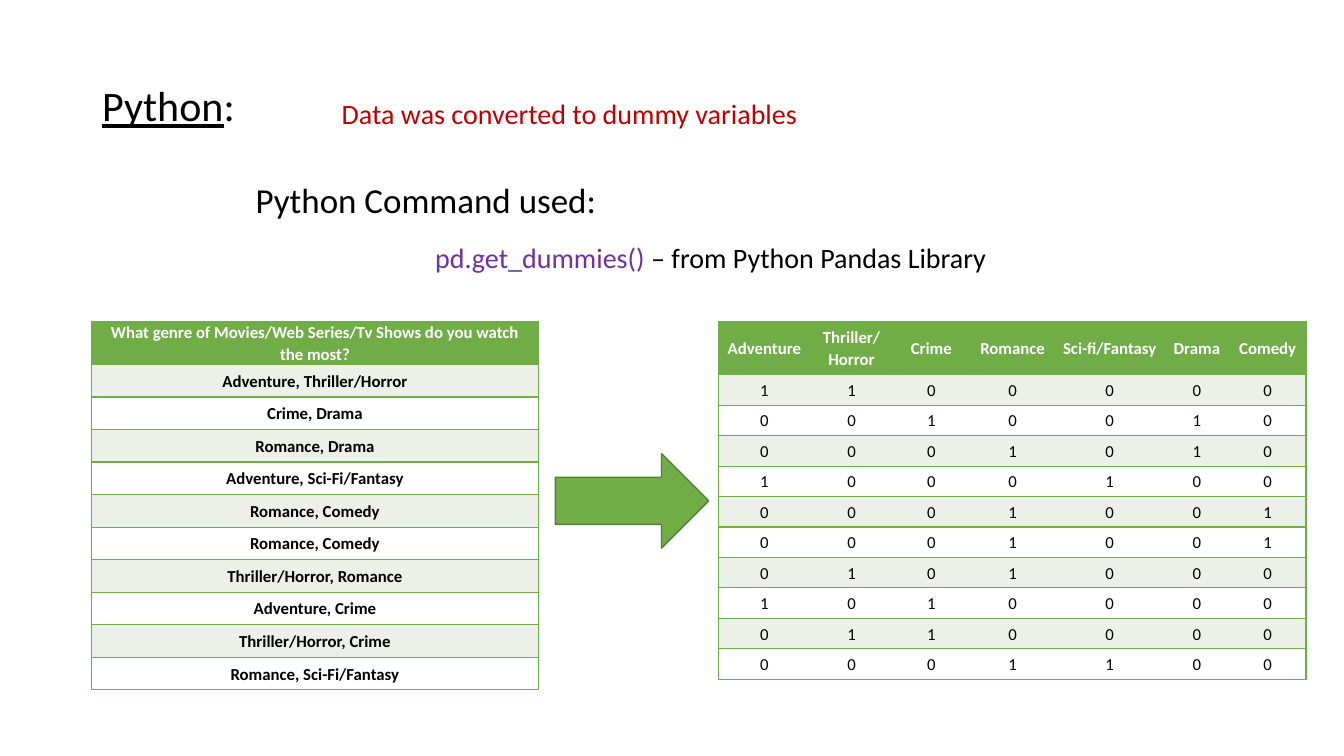
"""Build the slide that shows genre answers turned into dummy variables."""
from dataclasses import dataclass

from lxml import etree
from pptx import Presentation, util as u
from pptx.dml.color import RGBColor
from pptx.enum import shapes, text
from pptx.oxml.ns import qn

PX = 9525


@dataclass(frozen=True)
class Theme:
    """Hold the font, colours and type sizes of the slide."""
    font: str = "Calibri"
    ink: str = "000000"
    paper: str = "FFFFFF"
    green: str = "70AD47"
    outline: str = "538035"
    band: str = "EBF1E9"
    red: str = "C00000"
    purple: str = "7030A0"
    title: int = 30
    heading: int = 25
    body: int = 20
    cell: int = 12


def px(*lengths):
    """Turn whole pixels into EMU."""
    return [u.Emu(length * PX) for length in lengths]


def assign(target, values):
    """Set each attribute named in a dict."""
    for name, value in values.items():
        setattr(target, name, value)


class Deck:
    """Draw elements on the current slide in one style."""

    def __init__(self, theme):
        """Start a one-slide presentation."""
        self.theme = theme
        self.file = Presentation()
        self.file.slide_width, self.file.slide_height = px(1280, 720)
        self.slide = self.file.slides.add_slide(self.file.slide_layouts[5])

    def add_runs(self, paragraph, runs, size, **formats):
        """Fill a paragraph with (text, colour, formats) runs."""
        assign(paragraph, formats)
        for words, colour, extra in runs:
            run = paragraph.add_run()
            run.text = words
            assign(run.font, {"name": self.theme.font, "size": u.Pt(size), **extra})
            run.font.color.rgb = RGBColor.from_string(colour)

    def title(self, box, runs):
        """Place and format the title placeholder."""
        holder = self.slide.shapes.title
        assign(holder, dict(zip(("left", "top", "width", "height"), px(*box))))
        assign(holder.text_frame, {"word_wrap": False,
                                   "auto_size": text.MSO_AUTO_SIZE.SHAPE_TO_FIT_TEXT,
                                   "vertical_anchor": text.MSO_ANCHOR.TOP})
        self.add_runs(holder.text_frame.paragraphs[0], runs, self.theme.title,
                      alignment=text.PP_ALIGN.CENTER)

    def label(self, box, runs, size):
        """Add a wrapped text box."""
        frame = self.slide.shapes.add_textbox(*px(*box)).text_frame
        assign(frame, {"word_wrap": True,
                       "auto_size": text.MSO_AUTO_SIZE.SHAPE_TO_FIT_TEXT})
        self.add_runs(frame.paragraphs[0], runs, size)

    def arrow(self, box):
        """Add a block arrow that points right."""
        arrow = self.slide.shapes.add_shape(shapes.MSO_SHAPE.RIGHT_ARROW, *px(*box))
        arrow.shadow.inherit = False
        arrow.fill.solid()
        arrow.fill.fore_color.rgb = RGBColor.from_string(self.theme.green)
        arrow.line.color.rgb = RGBColor.from_string(self.theme.outline)
        arrow.line.width = u.Pt(1)

    def border(self, cell, sides):
        """Draw the named sides of a cell and clear the others."""
        properties = cell._tc.get_or_add_tcPr()
        for side in "LRTB":
            line = etree.SubElement(properties, qn(f"a:ln{side}"), w=str(u.Pt(1)))
            if side in sides:
                fill = etree.SubElement(line, qn("a:solidFill"))
                etree.SubElement(fill, qn("a:srgbClr"), val=self.theme.green)
            else:
                etree.SubElement(line, qn("a:noFill"))

    def table(self, corner, widths, heights, rows, bold_body):
        """Add a banded table with a green header row."""
        theme = self.theme
        table = self.slide.shapes.add_table(
            len(rows), len(widths), *px(*corner, sum(widths), sum(heights))).table
        for column, width in zip(table.columns, px(*widths)):
            column.width = width
        side, none = px(7, 0)
        for r, (values, height) in enumerate(zip(rows, px(*heights))):
            table.rows[r].height = height
            fill = theme.green if r == 0 else (theme.paper, theme.band)[r % 2]
            colour = theme.paper if r == 0 else theme.ink
            for c, value in enumerate(values):
                cell = table.cell(r, c)
                self.border(cell, "TB" + "L" * (c == 0) + "R" * (c == len(widths) - 1))
                cell.fill.solid()
                cell.fill.fore_color.rgb = RGBColor.from_string(fill)
                assign(cell, {"margin_left": side, "margin_right": side,
                              "margin_top": none, "margin_bottom": none,
                              "vertical_anchor": text.MSO_ANCHOR.MIDDLE})
                self.add_runs(cell.text_frame.paragraphs[0],
                              [(value, colour, {"bold": r == 0 or bold_body})],
                              theme.cell, alignment=text.PP_ALIGN.CENTER,
                              line_spacing=1.07, space_after=u.Pt(8))


QUESTION = "What genre of Movies/Web Series/Tv Shows do you watch the most?"
ANSWERS = ["Adventure, Thriller/Horror", "Crime, Drama", "Romance, Drama",
           "Adventure, Sci-Fi/Fantasy", "Romance, Comedy", "Romance, Comedy",
           "Thriller/Horror, Romance", "Adventure, Crime", "Thriller/Horror, Crime",
           "Romance, Sci-Fi/Fantasy"]
GENRE_WIDTHS = {"Adventure": 88, "Thriller/Horror": 78, "Crime": 74, "Romance": 81,
                "Sci-fi/Fantasy": 104, "Drama": 62, "Comedy": 73}


def dummies(answer):
    """Mark each genre that an answer names with 1 and the others with 0."""
    chosen = answer.lower().split(", ")
    return [str(int(genre.lower() in chosen)) for genre in GENRE_WIDTHS]


def main():
    """Build and save the slide."""
    theme = Theme()
    deck = Deck(theme)
    deck.title((87, 71, 147, 59), [("Python", theme.ink, {"underline": True}),
                                   (":", theme.ink, {})])
    deck.label((316, 87, 649, 42),
               [("Data was converted to dummy variables", theme.red, {})], theme.body)
    deck.label((234, 165, 755, 50),
               [("Python Command used:", theme.ink, {})], theme.heading)
    deck.label((405, 224, 640, 42),
               [("pd.get_dummies() ", theme.purple, {}),
                ("– from Python Pandas Library", theme.ink, {})], theme.body)
    count = len(ANSWERS)
    deck.table((87, 306), [426], [41] + [31] * count,
               [[QUESTION]] + [[answer] for answer in ANSWERS], True)
    deck.table((684, 306), list(GENRE_WIDTHS.values()), [51] + [29] * count,
               [list(GENRE_WIDTHS)] + [dummies(answer) for answer in ANSWERS], False)
    deck.arrow((529, 432, 146, 90))
    deck.file.save("out.pptx")


if __name__ == "__main__":
    main()
